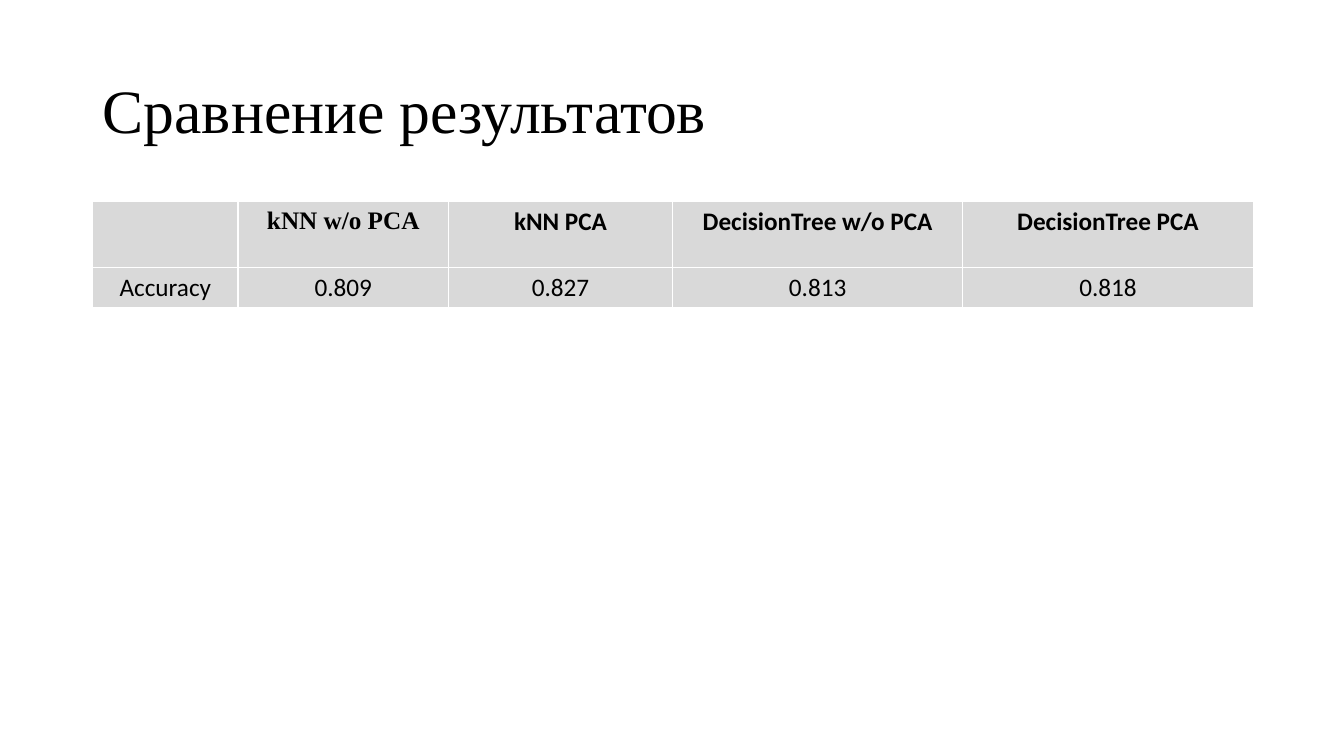
from pptx import Presentation
from pptx.dml.color import RGBColor
from pptx.enum.text import MSO_ANCHOR, PP_ALIGN
from pptx.util import Inches, Pt

LEFT, CENTER = PP_ALIGN.LEFT, PP_ALIGN.CENTER
MIDDLE = MSO_ANCHOR.MIDDLE
SERIF, SANS = "Times New Roman", "Calibri"
BLACK, GRAY = "000000", "D9D9D9"

TITLE = "Сравнение результатов"
RESULTS = [
    ["", "kNN w/o PCA", "kNN PCA", "DecisionTree w/o PCA", "DecisionTree PCA"],
    ["Accuracy", "0.809", "0.827", "0.813", "0.818"],
]
COL_WIDTHS = [1.44, 2.09, 2.22, 2.88, 2.88]
ROW_HEIGHTS = [0.65, 0.4]


def rgb(color):
    """Turn a hex string into a colour."""
    return RGBColor.from_string(color)


def write(tf, text, size=18, font=SANS, color=BLACK, bold=False, align=CENTER, spacing=1.0):
    """Write one formatted paragraph into a text frame."""
    p = tf.paragraphs[0]
    p.alignment, p.line_spacing = align, spacing
    p.font.size = Pt(size)
    if text:
        r = p.add_run()
        r.text = text
        r.font.size, r.font.name, r.font.bold = Pt(size), font, bold
        r.font.color.rgb = rgb(color)


def add_title(s, x, y, w, h):
    """Place the slide title in its box."""
    sp = s.shapes.title
    sp.left, sp.top, sp.width, sp.height = map(Inches, (x, y, w, h))
    tf = sp.text_frame
    tf.word_wrap, tf.vertical_anchor = True, MIDDLE
    write(tf, TITLE, size=44, font=SERIF, align=LEFT, spacing=0.9)


def add_results(s, x, y):
    """Place the accuracy table with its top left corner at x, y."""
    box = map(Inches, (x, y, sum(COL_WIDTHS), sum(ROW_HEIGHTS)))
    table = s.shapes.add_table(len(RESULTS), len(COL_WIDTHS), *box).table
    table.horz_banding = False
    for col, width in zip(table.columns, COL_WIDTHS):
        col.width = Inches(width)
    for i, (row, height) in enumerate(zip(table.rows, ROW_HEIGHTS)):
        row.height = Inches(height)
        for j, cell in enumerate(row.cells):
            cell.fill.solid()
            cell.fill.fore_color.rgb = rgb(GRAY)
            font = SERIF if (i, j) == (0, 1) else SANS
            write(cell.text_frame, RESULTS[i][j], font=font, bold=i == 0)


def main():
    """Build the slide and save it."""
    prs = Presentation()
    prs.slide_width, prs.slide_height = Inches(13.33), Inches(7.5)
    s = prs.slides.add_slide(prs.slide_layouts[5])
    add_title(s, 0.92, 0.4, 11.5, 1.45)
    add_results(s, 0.92, 2)
    prs.save("out.pptx")


if __name__ == "__main__":
    main()
